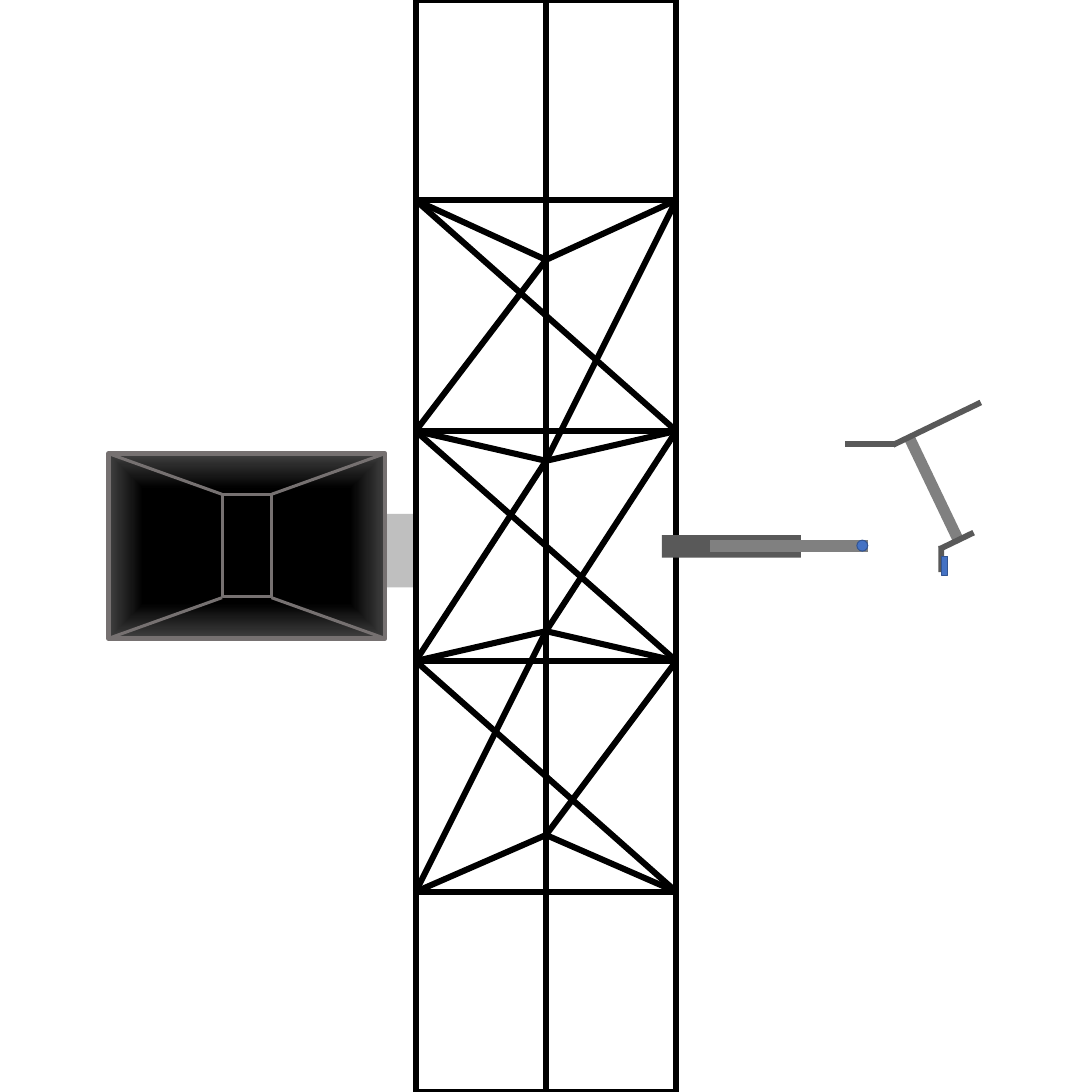
from dataclasses import dataclass

from lxml.etree import SubElement
from pptx import Presentation
from pptx.dml.color import RGBColor
from pptx.enum.shapes import MSO_CONNECTOR, MSO_SHAPE
from pptx.oxml import parse_xml
from pptx.oxml.ns import qn
from pptx.util import Inches, Pt


@dataclass(frozen=True)
class Theme:
    steel: str = "000000"
    bracket: str = "BFBFBF"
    horn_edge: str = "767171"
    horn_rim: str = "404040"
    dark_metal: str = "595959"
    light_metal: str = "808080"
    accent: str = "4472C4"
    accent_edge: str = "325491"


theme = Theme()
presentation = Presentation()
presentation.slide_width = presentation.slide_height = Inches(15)
slide = presentation.slides.add_slide(presentation.slide_layouts[6])


def add_part(left, top, width, height, fill=None, line=None, weight=1,
             rotation=0, kind=MSO_SHAPE.RECTANGLE):
    shape = slide.shapes.add_shape(
        kind, Inches(left), Inches(top), Inches(width), Inches(height))
    shape.shadow.inherit = False
    shape.rotation = rotation
    if fill:
        shape.fill.solid()
        shape.fill.fore_color.rgb = RGBColor.from_string(fill)
    else:
        shape.fill.background()
    if line:
        shape.line.color.rgb = RGBColor.from_string(line)
        shape.line.width = Pt(weight)
    else:
        shape.line.fill.background()
    return shape


def add_bar(start, end, color=theme.steel, weight=6):
    connector = slide.shapes.add_connector(
        MSO_CONNECTOR.STRAIGHT, *(Inches(value) for value in (*start, *end)))
    connector.line.color.rgb = RGBColor.from_string(color)
    connector.line.width = Pt(weight)
    SubElement(connector.element.spPr, qn("a:effectLst"))
    return connector


# Tower outline, with the bracket that holds the horn behind it
left, middle, right = 5.71, 7.5, 9.29
add_part(5.29, 7.06, 0.42, 1.01, theme.bracket)
tower = add_part(left, 0, right - left, 15, line=theme.steel, weight=6)
mast = add_bar((middle, 0), (middle, 15))
mast.begin_connect(tower, 0)
mast.end_connect(tower, 2)

# Tower lattice: a girder and a pair of struts at each level
levels = [2.75, 5.92, 9.08, 12.25]
nodes = [3.57, 6.33, 8.67, 11.47]
for level, node in zip(levels, nodes):
    add_bar((left, level), (right, level))
    add_bar((left, level), (middle, node))
    add_bar((middle, node), (right, level))

# Diagonals between neighbouring levels
for index in range(len(levels) - 1):
    upper, lower = levels[index:index + 2]
    upper_node, lower_node = nodes[index:index + 2]
    add_bar((left, upper), (right, lower))
    add_bar((left, lower), (middle, upper_node))
    add_bar((middle, lower_node), (right, upper))

# Horn, darkest in its throat
horn = add_part(1.49, 6.23, 3.8, 2.54, theme.steel, theme.horn_edge, 4.5)
properties = horn.element.spPr
properties.replace(properties.find(qn("a:solidFill")), parse_xml(
    '<a:gradFill xmlns:a="http://schemas.openxmlformats.org/drawingml/2006/main">'
    f'<a:gsLst><a:gs pos="62000"><a:srgbClr val="{theme.steel}"/></a:gs>'
    f'<a:gs pos="100000"><a:srgbClr val="{theme.horn_rim}"/></a:gs></a:gsLst>'
    '<a:path path="rect">'
    '<a:fillToRect l="50000" t="50000" r="50000" b="50000"/></a:path>'
    '</a:gradFill>'))
add_part(3.05, 6.79, 0.68, 1.41, line=theme.horn_edge, weight=3)
for outer_x, throat_x in ((1.49, 3.05), (5.29, 3.73)):
    for outer_y, throat_y in ((6.23, 6.79), (8.77, 8.21)):
        add_bar((outer_x, outer_y), (throat_x, throat_y), theme.horn_edge, 3)

# Straight arm with its pivot
add_part(9.09, 7.35, 1.91, 0.31, theme.dark_metal)
add_bar((9.75, 7.5), (11.92, 7.5), theme.light_metal, 11)
add_part(11.77, 7.42, 0.15, 0.15, theme.accent, theme.accent_edge,
         kind=MSO_SHAPE.OVAL)

# Tilted arm: rod, plates and sensor
plate = 0.08
tilt = 334.2
add_part(11.61, 6.06, 0.67, plate, theme.dark_metal)
add_bar((12.48, 5.99), (13.16, 7.41), theme.light_metal, 11)
for plate_left, plate_top, length, rotation in (
        (12.2, 5.78, 1.34, tilt),
        (12.75, 7.64, 0.36, 90),
        (12.88, 7.39, 0.52, tilt)):
    add_part(plate_left, plate_top, length, plate, theme.dark_metal,
             rotation=rotation)
add_part(12.93, 7.64, 0.09, 0.26, theme.accent, theme.accent_edge)

presentation.save("out.pptx")
